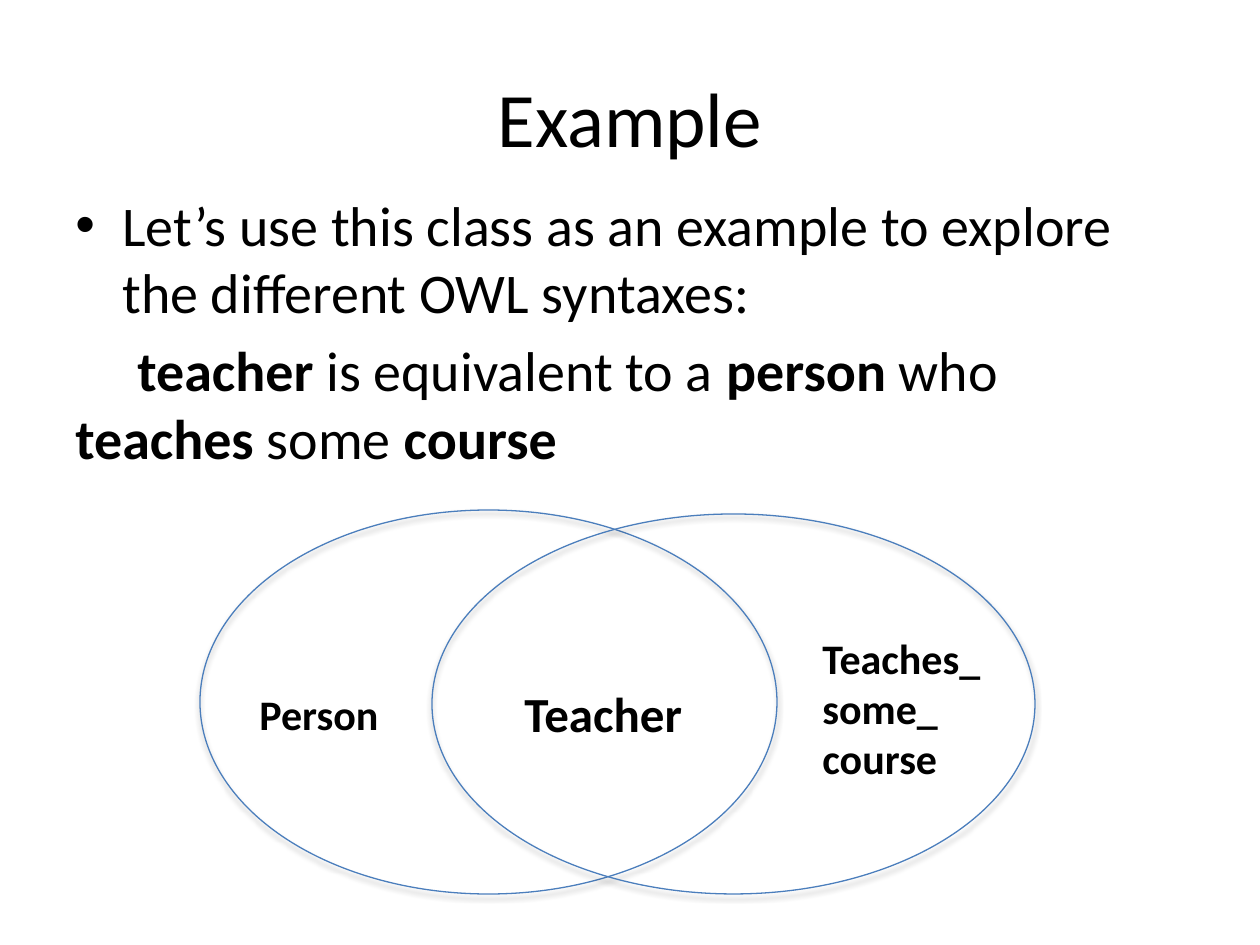
from lxml import etree
from pptx import Presentation
from pptx.dml.color import RGBColor
from pptx.enum import shapes, text
from pptx.oxml import parse_xml
from pptx.oxml.ns import qn
from pptx.util import Pt

EMU_PER_PX = 914400 / 126
BLACK = RGBColor(0x00, 0x00, 0x00)
BLUE = RGBColor(0x4B, 0x7E, 0xBC)
FONT = "Calibri"
SHADOW = (
    '<a:effectLst xmlns:a="http://schemas.openxmlformats.org/drawingml/2006/main">'
    '<a:outerShdw blurRad="39370" dist="22860" dir="5400000" rotWithShape="0">'
    '<a:srgbClr val="000000"><a:alpha val="35000"/></a:srgbClr>'
    "</a:outerShdw></a:effectLst>"
)


def px(length):
    return round(length * EMU_PER_PX)


class SlideWriter:
    """Holds the style and the page being filled."""

    def __init__(self, deck):
        self.page = deck.slides.add_slide(deck.slide_layouts[6])

    def style(self, span, size, bold=False):
        span.font.name = FONT
        span.font.size = Pt(size)
        span.font.bold = bold
        span.font.color.rgb = BLACK

    def frame(self, area, wrap=True):
        box = self.page.shapes.add_textbox(*map(px, area))
        box.text_frame.word_wrap = wrap
        return box.text_frame

    def title(self, area, words, size):
        frame = self.frame(area)
        frame.vertical_anchor = text.MSO_ANCHOR.MIDDLE
        frame.text = words
        para = frame.paragraphs[0]
        para.alignment = text.PP_ALIGN.CENTER
        self.style(para.runs[0], size)

    def body(self, area, paragraphs, size):
        """Each paragraph is (margin, indent, bullet, lines of (words, bold))."""
        frame = self.frame(area)
        for number, (margin, indent, bullet, lines) in enumerate(paragraphs):
            para = frame.add_paragraph() if number else frame.paragraphs[0]
            para.space_before = Pt(size * 0.2)
            properties = para._p.get_or_add_pPr()
            properties.set("marL", str(px(margin)))
            properties.set("indent", str(px(indent)))
            if bullet:
                etree.SubElement(properties, qn("a:buFont")).set("typeface", "Arial")
                etree.SubElement(properties, qn("a:buChar")).set("char", bullet)
            for line_number, line in enumerate(lines):
                if line_number:
                    para.add_line_break()
                for words, bold in line:
                    span = para.add_run()
                    span.text = words
                    self.style(span, size, bold)

    def ellipse(self, area):
        oval = self.page.shapes.add_shape(shapes.MSO_SHAPE.OVAL, *map(px, area))
        oval.fill.background()
        oval.line.color.rgb = BLUE
        oval.line.width = Pt(0.75)
        oval._element.spPr.append(parse_xml(SHADOW))

    def label(self, area, words, size):
        frame = self.frame(area, wrap=False)
        frame.auto_size = text.MSO_AUTO_SIZE.SHAPE_TO_FIT_TEXT
        frame.text = words
        for para in frame.paragraphs:
            self.style(para.runs[0], size, bold=True)


def main():
    deck = Presentation()
    deck.slide_width, deck.slide_height = px(1260), px(945)
    writer = SlideWriter(deck)

    # Title and definition
    writer.title((63, 38, 1134, 157), "Example", 44)
    intro = "Let’s use this class as an example to explore the different OWL syntaxes:"
    definition = [
        [("teacher", True), (" is equivalent to a ", False),
         ("person ", True), ("who", False)],
        [("teaches", True), (" some ", False), ("course", True)],
    ]
    writer.body(
        (63, 184, 1134, 624),
        [(47, -47, "•", [[(intro, False)]]), (0, 62, None, definition)],
        32,
    )

    # Overlapping sets
    for area in ((200, 510, 577, 384), (432, 514, 603, 380)):
        writer.ellipse(area)

    # Set names
    writer.label((247, 682, 147, 63), "Person", 24)
    writer.label((810, 626, 189, 165), "Teaches_\nsome_\ncourse", 24)
    writer.label((512, 677, 190, 72), "Teacher", 28)

    deck.save("out.pptx")


if __name__ == "__main__":
    main()
